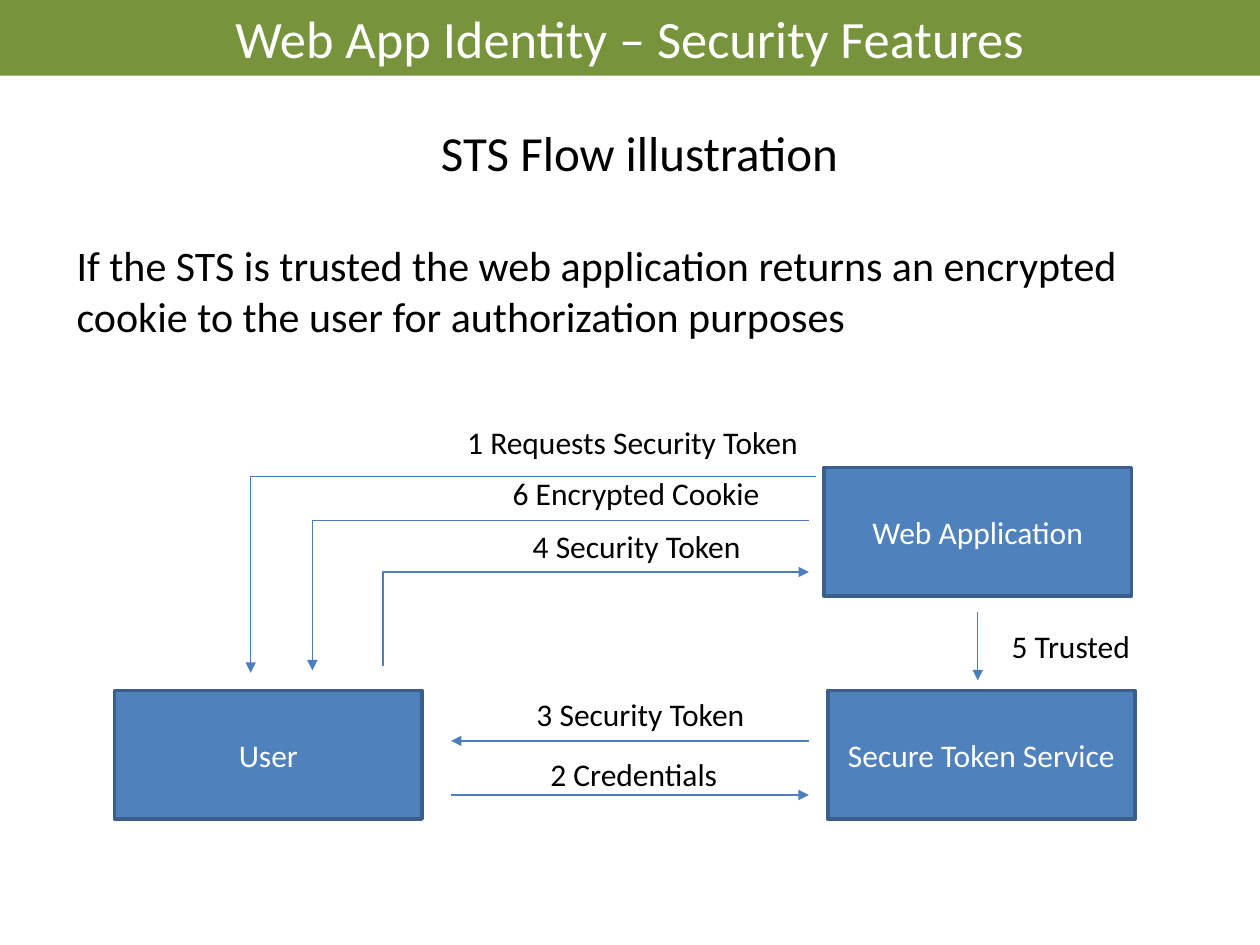
from lxml import etree
from pptx import Presentation
from pptx import util as u
from pptx.dml.color import RGBColor
from pptx.enum import shapes, text
from pptx.oxml.ns import qn

COLORS = {"band": "77933C", "box": "4F81BD", "edge": "3A5F8C",
          "flow": "4B7EBC", "light": "FFFFFF", "dark": "000000"}
WIDTH, HEIGHT = 10, 7.5
BOX_W, BOX_H, LABEL_H = 2.44, 1.02, 0.4
UPPER, LOWER = 3.71, 5.48

TITLE = "Web App Identity – Security Features"
HEADING = "STS Flow illustration"
SUMMARY = ("If the STS is trusted the web application returns an encrypted "
           "cookie to the user for authorization purposes")

# name, left, top
ACTORS = [("User", 0.91, LOWER),
          ("Web Application", 6.54, UPPER),
          ("Secure Token Service", 6.57, LOWER)]

# label, label left, top and width, start, end, share of the width before the bend
FLOWS = [
    ("2 Credentials", (4.27, 5.94, 1.54), (3.58, 6.31), (6.42, 6.31), None),
    ("3 Security Token", (4.16, 5.47, 1.87), (6.42, 5.88), (3.58, 5.88), None),
    ("4 Security Token", (4.13, 4.13, 1.87), (3.03, 5.28), (6.42, 4.54), 0.003),
    ("5 Trusted", (7.93, 4.93, 1.15), (7.76, 4.86), (7.76, 5.4), None),
    ("6 Encrypted Cookie", (3.97, 3.71, 2.18), (6.42, 4.13), (2.48, 5.32), 1),
    ("1 Requests Security Token", (3.61, 3.31, 2.86), (6.48, 3.78), (1.99, 5.34), 1),
]


def rgb(name):
    """Look up a colour of the palette."""
    return RGBColor.from_string(COLORS[name])


def inches(*lengths):
    """Turn numbers into lengths in inches."""
    return [u.Inches(length) for length in lengths]


def write(paragraph, words, size=18, color="dark", align="LEFT", before=0):
    """Put formatted words in a paragraph."""
    paragraph.alignment = getattr(text.PP_ALIGN, align)
    paragraph.space_before = u.Pt(before)
    run = paragraph.add_run()
    run.text = words
    run.font.name = "Calibri"
    run.font.size = u.Pt(size)
    run.font.color.rgb = rgb(color)


def add_title(slide):
    """Turn the title placeholder into the band across the top."""
    band = slide.shapes.title
    band.left, band.top, band.width, band.height = inches(0, 0, WIDTH, HEIGHT * 0.08)
    band.fill.solid()
    band.fill.fore_color.rgb = rgb("band")
    frame = band.text_frame
    frame.auto_size = text.MSO_AUTO_SIZE.NONE
    frame.vertical_anchor = text.MSO_ANCHOR.MIDDLE
    write(frame.paragraphs[0], TITLE, size=30, color="light", align="CENTER")


def add_body(slide):
    """Add the heading and the summary below it."""
    frame = slide.shapes.add_textbox(*inches(0.51, 0.92, 9.13, 5.78)).text_frame
    frame.word_wrap = True
    write(frame.paragraphs[0], HEADING, size=28, align="CENTER")
    write(frame.add_paragraph(), SUMMARY, size=24, before=33.5)


def add_actor(slide, name, left, top):
    """Add one box of the flow."""
    box = slide.shapes.add_shape(shapes.MSO_SHAPE.RECTANGLE,
                                 *inches(left, top, BOX_W, BOX_H))
    box.shadow.inherit = False
    box.fill.solid()
    box.fill.fore_color.rgb = rgb("box")
    box.line.color.rgb = rgb("edge")
    box.line.width = u.Pt(2)
    frame = box.text_frame
    frame.word_wrap = True
    frame.vertical_anchor = text.MSO_ANCHOR.MIDDLE
    write(frame.paragraphs[0], name, color="light", align="CENTER")


def add_arrow(slide, start, end, bend):
    """Add a straight arrow, or an elbow arrow that turns at bend."""
    kind = shapes.MSO_CONNECTOR.STRAIGHT if bend is None else shapes.MSO_CONNECTOR.ELBOW
    arrow = slide.shapes.add_connector(kind, *inches(*start, *end))
    arrow.line.color.rgb = rgb("flow")
    arrow.line.width = u.Pt(0.75)
    properties = arrow._element.spPr
    etree.SubElement(properties.find(qn("a:ln")), qn("a:tailEnd"), type="triangle")
    etree.SubElement(properties, qn("a:effectLst"))
    if bend is not None:
        guides = properties.find(qn("a:prstGeom")).find(qn("a:avLst"))
        etree.SubElement(guides, qn("a:gd"), name="adj1",
                         fmla=f"val {round(bend * 100000)}")


def add_label(slide, words, left, top, width):
    """Add the caption of an arrow."""
    frame = slide.shapes.add_textbox(*inches(left, top, width, LABEL_H)).text_frame
    frame.word_wrap = False
    frame.auto_size = text.MSO_AUTO_SIZE.SHAPE_TO_FIT_TEXT
    write(frame.paragraphs[0], words)


deck = Presentation()
deck.slide_width, deck.slide_height = inches(WIDTH, HEIGHT)
slide = deck.slides.add_slide(deck.slide_layouts.get_by_name("Title Only"))
add_title(slide)
add_body(slide)
for actor in ACTORS:
    add_actor(slide, *actor)
for label, place, start, end, bend in FLOWS:
    add_arrow(slide, start, end, bend)
    add_label(slide, label, *place)
deck.save("out.pptx")
